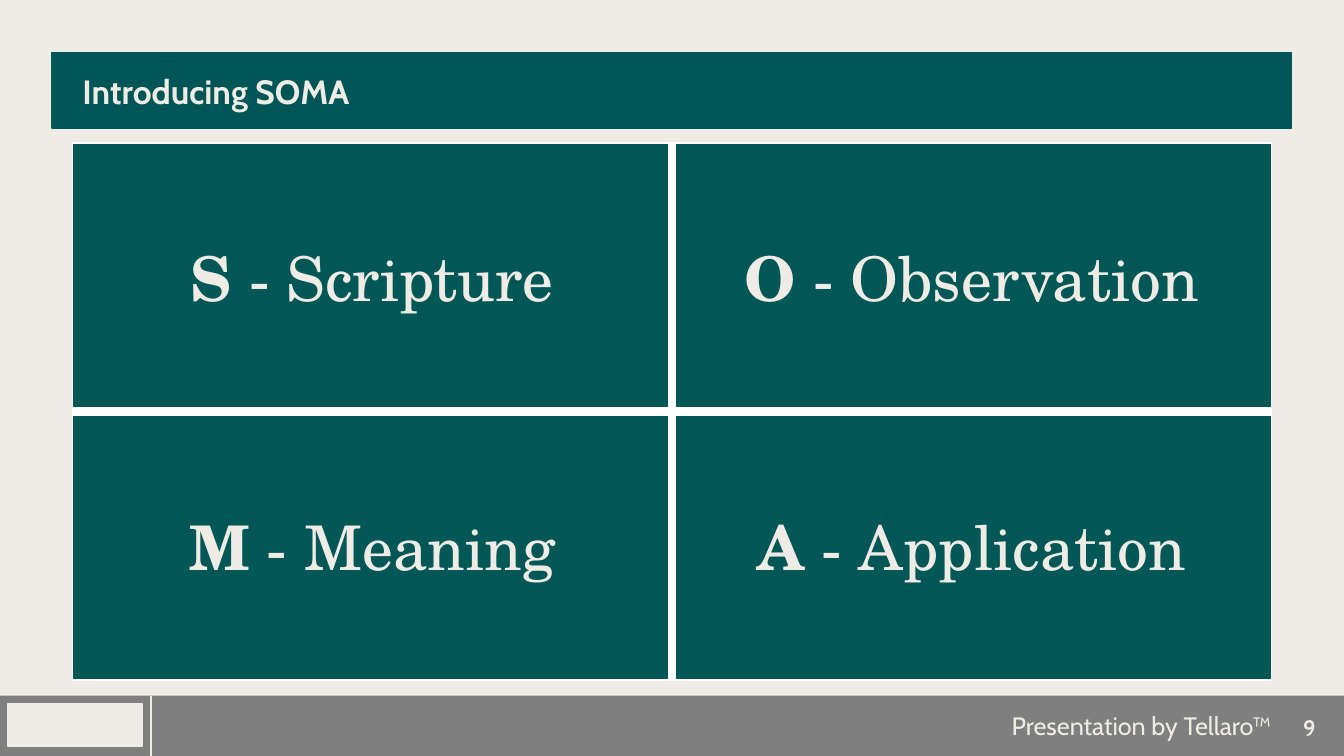
from dataclasses import dataclass

from pptx import Presentation
from pptx.dml.color import RGBColor
from pptx.enum.shapes import MSO_CONNECTOR, MSO_SHAPE
from pptx.enum.text import MSO_ANCHOR, PP_ALIGN
from pptx.oxml.ns import qn
from pptx.util import Cm, Pt
from lxml.etree import SubElement

CREAM = RGBColor(0xEE, 0xEC, 0xE4)
GRAY = RGBColor(0x7F, 0x7F, 0x7F)
TEAL = RGBColor(0x00, 0x55, 0x57)
DARK_TEAL = RGBColor(0x03, 0x57, 0x57)
WHITE = RGBColor(0xFF, 0xFF, 0xFF)

SANS = "Cabin"
SERIF = "TeX Gyre Schola"

SLIDE_W, SLIDE_H = 33.87, 19.05
FOOTER_TOP = 17.53
FOOTER_H = SLIDE_H - FOOTER_TOP
GRID_LEFT, GRID_TOP = 1.83, 3.6
CELL_W, CELL_H = 15.11, 6.77


@dataclass
class Step:
    letter: str
    word: str
    row: int
    col: int


STEPS = [
    Step("S", "Scripture", 0, 0),
    Step("O", "Observation", 0, 1),
    Step("M", "Meaning", 1, 0),
    Step("A", "Application", 1, 1),
]


def add_rect(s, left: float, top: float, width: float, height: float,
             fill: RGBColor, line: RGBColor | None = None):
    sp = s.shapes.add_shape(MSO_SHAPE.RECTANGLE, Cm(left), Cm(top), Cm(width), Cm(height))
    sp.shadow.inherit = False
    sp.fill.solid()
    sp.fill.fore_color.rgb = fill
    if line is None:
        sp.line.fill.background()
    else:
        sp.line.color.rgb = line
        sp.line.width = Pt(1)
    return sp


def add_line(s, x1: float, y1: float, x2: float, y2: float,
             color: RGBColor, width: float) -> None:
    c = s.shapes.add_connector(MSO_CONNECTOR.STRAIGHT, Cm(x1), Cm(y1), Cm(x2), Cm(y2))
    c.line.color.rgb = color
    c.line.width = Pt(width)
    SubElement(c._element.spPr, qn("a:effectLst"))


def add_run(p, text: str, *, size: float, font: str = SANS, bold: bool = False) -> None:
    r = p.add_run()
    r.text = text
    r.font.size = Pt(size)
    r.font.name = font
    r.font.bold = bold
    r.font.color.rgb = CREAM


def add_text(s, left: float, top: float, width: float, height: float, text: str, *,
             size: float, bold: bool = False, align: PP_ALIGN = PP_ALIGN.LEFT,
             anchor: MSO_ANCHOR = MSO_ANCHOR.MIDDLE):
    tf = s.shapes.add_textbox(Cm(left), Cm(top), Cm(width), Cm(height)).text_frame
    tf.word_wrap = True
    tf.vertical_anchor = anchor
    p = tf.paragraphs[0]
    p.alignment = align
    add_run(p, text, size=size, bold=bold)
    return tf


def add_step(s, step: Step) -> None:
    sp = add_rect(s, GRID_LEFT + step.col * CELL_W, GRID_TOP + step.row * CELL_H,
                  CELL_W, CELL_H, DARK_TEAL, WHITE)
    tf = sp.text_frame
    tf.word_wrap = True
    tf.vertical_anchor = MSO_ANCHOR.MIDDLE
    p = tf.paragraphs[0]
    p.alignment = PP_ALIGN.CENTER
    add_run(p, step.letter, size=44, font=SERIF, bold=True)
    add_run(p, f" - {step.word}", size=44, font=SERIF)


def main() -> None:
    prs = Presentation()
    prs.slide_width, prs.slide_height = Cm(SLIDE_W), Cm(SLIDE_H)
    s = prs.slides.add_slide(prs.slide_layouts[6])
    s.background.fill.solid()
    s.background.fill.fore_color.rgb = CREAM

    # Footer
    add_rect(s, 0, FOOTER_TOP, SLIDE_W, FOOTER_H, GRAY)
    add_text(s, 7.8, 17.78, 24.49, 1.02, "Presentation by Tellaro™", size=18,
             align=PP_ALIGN.RIGHT, anchor=MSO_ANCHOR.TOP)
    add_text(s, 32.1, 17.58, 1.8, 1.52, "9", size=16, bold=True, align=PP_ALIGN.CENTER)
    add_rect(s, 0.2, 17.73, 3.38, 1.09, CREAM, CREAM)
    add_line(s, 3.81, FOOTER_TOP, 3.81, SLIDE_H, CREAM, 1.5)

    # Title bar
    add_rect(s, 1.31, 1.32, 31.24, 1.91, TEAL, DARK_TEAL)
    tf = add_text(s, GRID_LEFT, 1.32, 30.23, 1.91, "Introducing SOMA", size=24, bold=True)
    tf.margin_top, tf.margin_bottom = Cm(0.18), 0
    tf.paragraphs[0].line_spacing = 0.9

    # Four steps and the cross between them
    for step in STEPS:
        add_step(s, step)
    mid_x, mid_y = GRID_LEFT + CELL_W, GRID_TOP + CELL_H
    add_line(s, mid_x, GRID_TOP, mid_x, GRID_TOP + 2 * CELL_H, WHITE, 6)
    add_line(s, GRID_LEFT, mid_y, GRID_LEFT + 2 * CELL_W, mid_y, WHITE, 6)

    prs.save("out.pptx")


if __name__ == "__main__":
    main()
